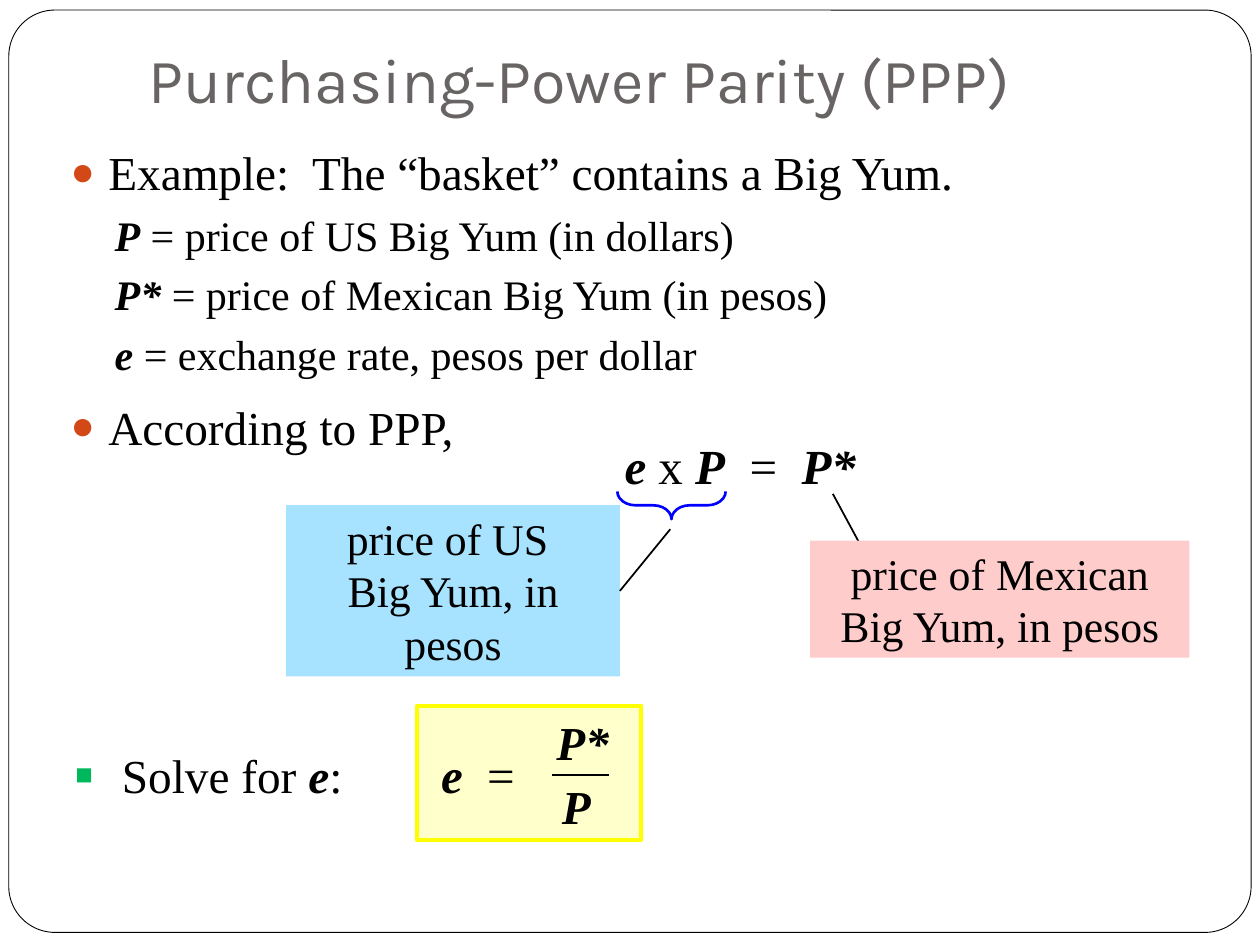
from dataclasses import dataclass

from lxml.etree import SubElement
from pptx import Presentation
from pptx.dml.color import RGBColor
from pptx.enum.shapes import MSO_CONNECTOR, MSO_SHAPE
from pptx.enum.text import MSO_ANCHOR, MSO_AUTO_SIZE, PP_ALIGN
from pptx.oxml.ns import qn
from pptx.util import Pt

EMU_PER_PX = 9144


@dataclass(frozen=True)
class Theme:
    title_font: str = "Karla"
    body_font: str = "Times New Roman"
    title_size: int = 36
    equation_size: int = 28
    body_size: int = 27
    label_size: int = 25
    detail_size: int = 24
    ink: str = "000000"
    title: str = "696464"
    paper: str = "FFFFFF"
    bullet: str = "D34817"
    solve_bullet: str = "00B85C"
    dollar_label: str = "A7E2FF"
    peso_label: str = "FFCCCC"
    result_fill: str = "FFFFCC"
    result_line: str = "FFFF00"
    brace: str = "0000FF"


def px(*values):
    return [value * EMU_PER_PX for value in values]


class SlideBuilder:
    """Draws styled elements on one slide."""

    def __init__(self, slide, theme):
        self.slide = slide
        self.theme = theme

    def set_runs(self, paragraph, text, size, font=None, color=None):
        for index, part in enumerate(text.split("|")):
            if index == 0:
                paragraph.text = part
            else:
                run = paragraph.add_run()
                run.text = part
                run.font.bold = run.font.italic = index % 2 == 1
        for run in paragraph.runs:
            run.font.size = Pt(size)
            run.font.name = font or self.theme.body_font
            run.font.color.rgb = RGBColor.from_string(color or self.theme.ink)

    def indent(self, paragraph, margin, hanging, bullet=None, color=None, percent=100):
        properties = paragraph._p.get_or_add_pPr()
        margin_emu, hanging_emu = px(margin, hanging)
        properties.set("marL", str(margin_emu))
        properties.set("indent", str(-hanging_emu))
        if bullet is None:
            SubElement(properties, qn("a:buNone"))
            return
        bullet_color = SubElement(properties, qn("a:buClr"))
        SubElement(bullet_color, qn("a:srgbClr"), val=color)
        SubElement(properties, qn("a:buSzPct"), val=str(percent * 1000))
        SubElement(properties, qn("a:buFont"), typeface=self.theme.body_font)
        SubElement(properties, qn("a:buChar"), char=bullet)

    def place(self, shape, box):
        shape.left, shape.top, shape.width, shape.height = px(*box)
        shape.text_frame.auto_size = MSO_AUTO_SIZE.NONE
        shape.text_frame.word_wrap = True

    def title(self, text, box):
        shape = self.slide.shapes.title
        self.place(shape, box)
        frame = shape.text_frame
        frame.vertical_anchor = MSO_ANCHOR.BOTTOM
        frame.margin_bottom = px(10)[0]
        paragraph = frame.paragraphs[0]
        paragraph.alignment = PP_ALIGN.CENTER
        self.set_runs(paragraph, text, self.theme.title_size, self.theme.title_font, self.theme.title)

    def body(self, items, box):
        shape = self.slide.placeholders[1]
        self.place(shape, box)
        frame = shape.text_frame
        for index, (level, text, space) in enumerate(items):
            paragraph = frame.add_paragraph() if index else frame.paragraphs[0]
            paragraph.level = level
            paragraph.space_before = Pt(space)
            if level:
                paragraph.line_spacing = 1.05
                self.indent(paragraph, 60, 25)
                self.set_runs(paragraph, text, self.theme.detail_size)
            else:
                self.indent(paragraph, 30, 30, "●", self.theme.bullet, 85)
                self.set_runs(paragraph, text, self.theme.body_size)

    def text(self, text, box, size, align=PP_ALIGN.CENTER, space=0, inset=True):
        shape = self.slide.shapes.add_textbox(*px(*box))
        return self.fill_text(shape, text, size, align, space, inset)

    def fill_text(self, shape, text, size, align=PP_ALIGN.CENTER, space=0, inset=True):
        frame = shape.text_frame
        frame.word_wrap = True
        frame.vertical_anchor = MSO_ANCHOR.TOP
        if not inset:
            frame.margin_left = frame.margin_top = frame.margin_right = frame.margin_bottom = 0
        paragraph = frame.paragraphs[0]
        paragraph.alignment = align
        paragraph.space_before = Pt(space)
        self.set_runs(paragraph, text, size)
        return paragraph

    def shape(self, kind, box, fill=None, line=None, width=1, adjust=None, rotation=0):
        shape = self.slide.shapes.add_shape(kind, *px(*box))
        shape.shadow.inherit = False
        shape.rotation = rotation
        if adjust is not None:
            shape.adjustments[0] = adjust
        if fill:
            shape.fill.solid()
            shape.fill.fore_color.rgb = RGBColor.from_string(fill)
        else:
            shape.fill.background()
        if line:
            shape.line.color.rgb = RGBColor.from_string(line)
            shape.line.width = Pt(width)
        else:
            shape.line.fill.background()
        return shape

    def frame(self, box):
        shape = self.shape(MSO_SHAPE.ROUNDED_RECTANGLE, box, self.theme.paper, self.theme.ink, 0.5, 0.05)
        shape.element.getparent().insert(2, shape.element)

    def label(self, text, box, fill):
        shape = self.shape(MSO_SHAPE.RECTANGLE, box, fill)
        self.fill_text(shape, text, self.theme.label_size, space=3)
        return shape

    def line(self, start, end, width=1):
        connector = self.slide.shapes.add_connector(MSO_CONNECTOR.STRAIGHT, *px(*start, *end))
        connector.line.color.rgb = RGBColor.from_string(self.theme.ink)
        connector.line.width = Pt(width)
        SubElement(connector.element.spPr, qn("a:effectLst"))
        return connector


def main():
    presentation = Presentation()
    presentation.slide_width, presentation.slide_height = px(1000, 750)
    slide = presentation.slides.add_slide(presentation.slide_layouts[1])
    theme = Theme()
    builder = SlideBuilder(slide, theme)

    builder.frame((7, 8, 986, 732))
    builder.title("Purchasing-Power Parity (PPP)", (0, 28, 920, 74))
    builder.body([
        (0, "Example:  The “basket” contains a Big Yum.", 4),
        (1, "|P| = price of US Big Yum (in dollars)", 3.7),
        (1, "|P*| = price of Mexican Big Yum (in pesos)", 3.7),
        (1, "|e| = exchange rate, pesos per dollar", 3.7),
        (0, "According to PPP,", 11),
    ], (46, 109, 909, 281))

    builder.text("|e| x |P|  =  |P*", (463, 341, 249, 57), theme.equation_size, space=3)
    builder.line((688, 442), (661, 392))
    builder.label("price of Mexican Big Yum, in pesos", (643, 429, 301, 93), theme.peso_label)

    solve = builder.text("Solve for |e|:", (49, 585, 267, 57), theme.body_size, PP_ALIGN.LEFT, 3)
    solve.line_spacing = 1.05
    builder.indent(solve, 38, 38, "▪", theme.solve_bullet, 120)

    builder.shape(MSO_SHAPE.RECTANGLE, (331, 560, 178, 107), theme.result_fill, theme.result_line, 2.25)
    builder.text("|P*", (429, 561, 67, 55), theme.body_size)
    builder.text("|P", (429, 612, 57, 55), theme.body_size)
    builder.line((438, 615), (483, 615), 0.75)
    builder.text("|e | =", (350, 591, 81, 47), theme.equation_size, PP_ALIGN.LEFT, 3, inset=False)

    dollar_label = builder.label("price of US \vBig Yum, in pesos", (227, 401, 265, 136), theme.dollar_label)
    pointer = builder.line((492, 469), (532, 420))
    pointer.begin_connect(dollar_label, 3)
    builder.shape(MSO_SHAPE.LEFT_BRACE, (522, 358, 22, 86), None, theme.brace, 1.5, 0.66, 270)

    presentation.save("out.pptx")


if __name__ == "__main__":
    main()
